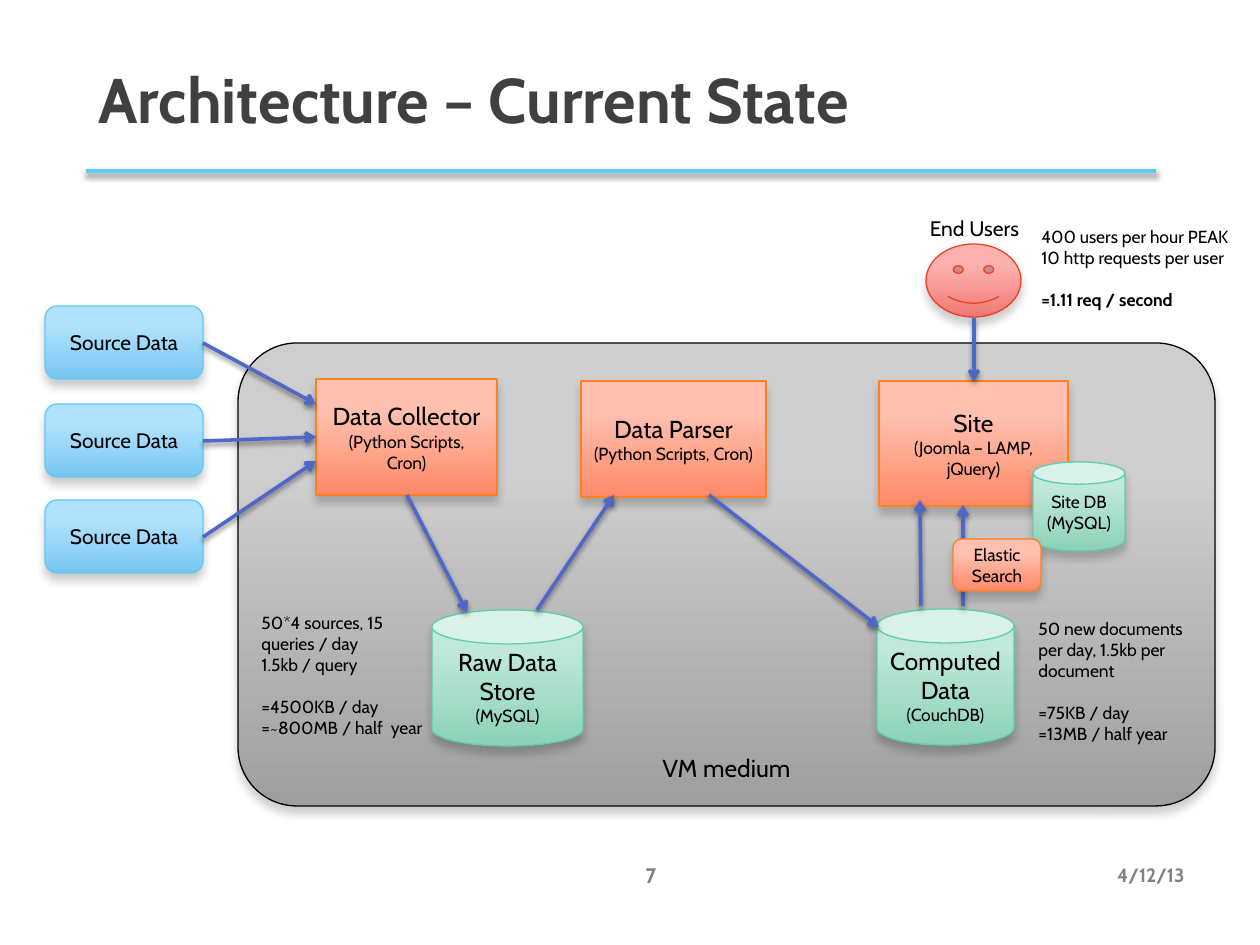
from lxml import etree
from pptx import Presentation
from pptx.dml.color import RGBColor
from pptx.enum.shapes import MSO_CONNECTOR, MSO_SHAPE as Shape
from pptx.enum.text import MSO_ANCHOR as Anchor, MSO_AUTO_SIZE as AutoSize, PP_ALIGN as Align
from pptx.oxml.ns import qn
from pptx.util import Pt

PX = 914400 / 126
FONT = "Cabin"

# Each palette: gradient top, gradient bottom, outline
GRAY = ("CECECE", "9F9F9F", "000000")
GREEN = ("C0E9DA", "8CD1B8", "5DCEAF")
ORANGE = ("FFC0AF", "FF8968", "FF8021")
BLUE = ("B1E2FD", "76C6F1", "5ECCF3")
RED = ("FDB2AF", "F07873", "F14124")


def px(n):
    return round(n * PX)


def rgb(color):
    return RGBColor.from_string(color)


def add_shadow(shape, alpha, blur, dist):
    effects = etree.SubElement(shape._element.spPr, qn("a:effectLst"))
    shadow = etree.SubElement(effects, qn("a:outerShdw"), blurRad=str(Pt(blur)),
                              dist=str(Pt(dist)), dir="5400000", rotWithShape="0")
    color = etree.SubElement(shadow, qn("a:srgbClr"), val="000000")
    etree.SubElement(color, qn("a:alpha"), val=str(alpha * 1000))


def write(tf, lines, size=10, color="000000", bold=False, align=Align.LEFT, anchor=Anchor.TOP):
    """Write one paragraph per line; a line is a string or (string, overrides)."""
    tf.word_wrap = True
    tf.vertical_anchor = anchor
    for i, line in enumerate(lines):
        text, own = line if isinstance(line, tuple) else (line, {})
        p = tf.paragraphs[0] if i == 0 else tf.add_paragraph()
        p.alignment = align
        if "before" in own:
            p.space_before = Pt(own["before"])
        r = p.add_run()
        r.text = text
        r.font.name = FONT
        r.font.size = Pt(own.get("size", size))
        r.font.bold = own.get("bold", bold)
        r.font.color.rgb = rgb(color)


def add_text(s, box, lines, grow=True, **fmt):
    tf = s.shapes.add_textbox(*map(px, box)).text_frame
    write(tf, lines, **fmt)
    if grow:
        tf.auto_size = AutoSize.SHAPE_TO_FIT_TEXT


def add_node(s, kind, box, palette, lines=(), size=14, anchor=Anchor.MIDDLE, adj=None):
    sp = s.shapes.add_shape(kind, *map(px, box))
    if adj is not None:
        sp.adjustments[0] = adj
    top, bottom, outline = palette
    sp.fill.gradient()
    sp.fill.gradient_angle = 270
    for stop, position, color in zip(sp.fill.gradient_stops, (0.28, 1), (top, bottom)):
        stop.position = position
        stop.color.rgb = rgb(color)
    sp.line.color.rgb = rgb(outline)
    sp.line.width = Pt(0.75)
    add_shadow(sp, 20, 5, 4)
    write(sp.text_frame, lines, size=size, align=Align.CENTER, anchor=anchor)


def add_line(s, x1, y1, x2, y2, color="4E67C8", arrow=True):
    line = s.shapes.add_connector(MSO_CONNECTOR.STRAIGHT, *map(px, (x1, y1, x2, y2)))
    line.line.color.rgb = rgb(color)
    line.line.width = Pt(2)
    if arrow:
        etree.SubElement(line.line._get_or_add_ln(), qn("a:tailEnd"), type="arrow")
    add_shadow(line, 45, 3.1, 1.8)


def add_frame(s):
    add_line(s, 86, 171, 1156, 171, color="5ECCF3", arrow=False)
    title = s.shapes.title
    title.left, title.top, title.width, title.height = map(px, (86, 54, 1070, 103))
    write(title.text_frame, ["Architecture – Current State"], size=36, color="404040",
          bold=True, anchor=Anchor.MIDDLE)
    title.text_frame.margin_bottom = px(20)
    footer = dict(grow=False, color="808080", bold=True, anchor=Anchor.MIDDLE)
    add_text(s, (850, 850, 347, 50), ["4/12/13"], size=11, align=Align.RIGHT, **footer)
    add_text(s, (525, 850, 252, 50), ["7"], size=12, align=Align.CENTER, **footer)


def main():
    prs = Presentation()
    prs.slide_width, prs.slide_height = px(1260), px(945)
    s = prs.slides.add_slide(prs.slide_layouts[5])
    add_frame(s)
    small = {"size": 10}
    gap = {"before": 12}

    # Server and the parts that run on it
    add_node(s, Shape.ROUNDED_RECTANGLE, (238, 343, 977, 463), GRAY, ["VM medium"],
             anchor=Anchor.BOTTOM, adj=0.127)
    add_node(s, Shape.CAN, (432, 610, 151, 136), GREEN, ["Raw Data Store", ("(MySQL)", small)])
    add_node(s, Shape.RECTANGLE, (316, 379, 181, 116), ORANGE,
             ["Data Collector", ("(Python Scripts, Cron)", small)])
    for y in (306, 404, 500):
        add_node(s, Shape.ROUNDED_RECTANGLE, (45, y, 158, 73), BLUE, ["Source Data"], size=12)
    add_node(s, Shape.RECTANGLE, (581, 381, 185, 116), ORANGE,
             ["Data Parser", ("(Python Scripts, Cron)", small)])
    add_node(s, Shape.RECTANGLE, (879, 381, 189, 125), ORANGE,
             ["Site", ("(Joomla – LAMP, jQuery)", small)])
    add_node(s, Shape.CAN, (877, 609, 137, 136), GREEN, ["Computed Data", ("(CouchDB)", small)])
    add_node(s, Shape.CAN, (1033, 462, 92, 89), GREEN, ["Site DB", "(MySQL)"], size=10)
    add_node(s, Shape.SMILEY_FACE, (926, 244, 95, 73), RED)

    # Data flow
    for ends in (
        (203, 343, 316, 404), (203, 441, 316, 437), (203, 537, 316, 461),  # sources
        (407, 495, 467, 612), (537, 610, 614, 495),  # raw store
        (709, 495, 879, 627), (921, 606, 920, 500), (963, 606, 963, 505),  # computed data
        (974, 318, 974, 381),  # end users
    ):
        add_line(s, *ends)
    add_node(s, Shape.ROUNDED_RECTANGLE, (953, 539, 88, 52), ORANGE, ["Elastic", "Search"], size=10)

    # Load figures
    add_text(s, (1026, 612, 197, 140), ["50 new documents per day, 1.5kb per document",
                                        ("=75KB / day", gap), "=13MB / half year"])
    add_text(s, (249, 606, 197, 140), ["50*4 sources, 15 queries / day", "1.5kb / query",
                                       ("=4500KB / day", gap), "=~800MB / half  year"])
    add_text(s, (876, 209, 197, 38), ["End Users"], size=12, align=Align.CENTER)
    add_text(s, (1029, 220, 228, 97), ["400 users per hour PEAK", "10 http requests per user",
                                       ("=1.11 req / second", {"before": 12, "bold": True})])
    prs.save("out.pptx")


if __name__ == "__main__":
    main()
